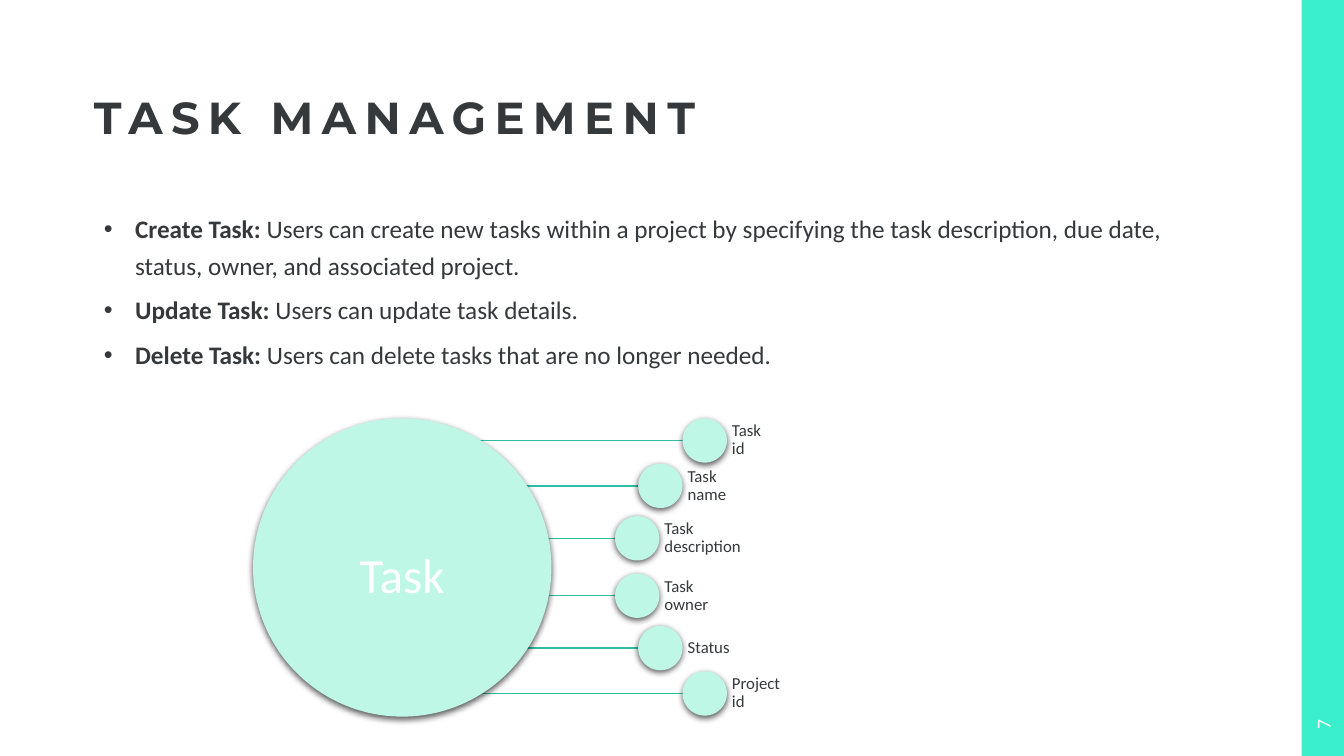
from dataclasses import dataclass

from lxml.etree import SubElement
from pptx import Presentation
from pptx.dml.color import RGBColor
from pptx.enum.shapes import MSO_CONNECTOR, MSO_SHAPE
from pptx.enum.text import MSO_ANCHOR, MSO_AUTO_SIZE, PP_ALIGN
from pptx.oxml.ns import qn
from pptx.util import Emu, Pt

EMU_PER_PX = 9144  # 100 px to the inch


@dataclass(frozen=True)
class Theme:
    ink: str = "36393B"
    white: str = "FFFFFF"
    accent: str = "3AEFCC"
    mint: str = "BFF7E7"
    spoke: str = "2EBFA3"
    heading_font: str = "Montserrat"
    text_font: str = "Calibri"
    title_size: int = 32
    body_size: int = 18
    hub_size: int = 35
    label_size: int = 12
    number_size: int = 14


@dataclass(frozen=True)
class Operation:
    name: str
    detail: str


@dataclass(frozen=True)
class Field:
    label: str
    center_x: int
    center_y: int
    label_width: int


THEME = Theme()
HUB_X, HUB_Y, HUB_SIZE = 399, 563, 296
DOT_SIZE = 44

OPERATIONS = [
    Operation("Create Task: ", "Users can create new tasks within a project by specifying the task "
              "description, due date, status, owner, and associated project."),
    Operation("Update Task:", " Users can update task details."),
    Operation("Delete Task:", " Users can delete tasks that are no longer needed."),
]
FIELDS = [
    Field("Task id", 699, 437, 43),
    Field("Task name", 655, 482, 54),
    Field("Task description", 632, 534, 99),
    Field("Task owner", 632, 591, 62),
    Field("Status", 655, 643, 59),
    Field("Project id", 699, 688, 64),
]


def px(value: int) -> Emu:
    return Emu(value * EMU_PER_PX)


def rgb(color: str) -> RGBColor:
    return RGBColor.from_string(color)


def place(shape, left: int, top: int, width: int, height: int) -> None:
    shape.left, shape.top = px(left), px(top)
    shape.width, shape.height = px(width), px(height)


def set_frame(frame, anchor, insets: tuple[int, int, int, int]) -> None:
    frame.word_wrap = True
    frame.auto_size = MSO_AUTO_SIZE.NONE
    frame.vertical_anchor = anchor
    frame.margin_left, frame.margin_top, frame.margin_right, frame.margin_bottom = map(px, insets)


def write(paragraph, text: str, *, size: int, color: str = THEME.ink, font: str = THEME.text_font,
          bold: bool = False, align=PP_ALIGN.LEFT, line_spacing: float = 0.9,
          space_after: int = 0, tracking: int = 0) -> None:
    paragraph.alignment = align
    paragraph.line_spacing = line_spacing
    paragraph.space_before = Pt(0)
    paragraph.space_after = Pt(space_after)
    run = paragraph.add_run()
    run.text = text
    run.font.name = font
    run.font.size = Pt(size)
    run.font.bold = bold
    run.font.color.rgb = rgb(color)
    if tracking:
        run.font._element.set("spc", str(tracking * 100))


def add_bullet(paragraph, indent: int) -> None:
    properties = paragraph._p.get_or_add_pPr()
    properties.set("marL", str(px(indent)))
    properties.set("indent", str(-px(indent)))
    SubElement(properties, qn("a:buFont"), typeface="Arial")
    SubElement(properties, qn("a:buChar"), char="•")


def add_text_box(slide, left: int, top: int, width: int, height: int,
                 insets: tuple[int, int, int, int]):
    box = slide.shapes.add_textbox(px(left), px(top), px(width), px(height))
    set_frame(box.text_frame, MSO_ANCHOR.MIDDLE, insets)
    return box


def add_disc(slide, center_x: int, center_y: int, size: int):
    disc = slide.shapes.add_shape(MSO_SHAPE.OVAL, px(center_x - size // 2),
                                  px(center_y - size // 2), px(size), px(size))
    disc.fill.solid()
    disc.fill.fore_color.rgb = rgb(THEME.mint)
    disc.line.fill.background()
    effects = SubElement(disc._element.spPr, qn("a:effectLst"))
    shadow = SubElement(effects, qn("a:outerShdw"), blurRad=str(Pt(4.5)), dist=str(Pt(1.5)),
                        dir="5400000", algn="ctr", rotWithShape="0")
    black = SubElement(shadow, qn("a:srgbClr"), val="000000")
    SubElement(black, qn("a:alpha"), val="63000")
    return disc


def add_spoke(slide, field: Field) -> None:
    spoke = slide.shapes.add_connector(MSO_CONNECTOR.STRAIGHT, px(HUB_X), px(field.center_y),
                                       px(field.center_x), px(field.center_y))
    spoke.line.color.rgb = rgb(THEME.spoke)
    spoke.line.width = Pt(1)
    SubElement(spoke._element.spPr, qn("a:effectLst"))


def add_field(slide, field: Field) -> None:
    add_disc(slide, field.center_x, field.center_y, DOT_SIZE)
    label = add_text_box(slide, field.center_x + DOT_SIZE // 2, field.center_y - DOT_SIZE // 2,
                         field.label_width, DOT_SIZE, (5, 0, 5, 0))
    write(label.text_frame.paragraphs[0], field.label, size=THEME.label_size)


def main() -> None:
    deck = Presentation()
    deck.slide_width, deck.slide_height = px(1333), px(750)
    slide = deck.slides.add_slide(deck.slide_layouts[1])

    # Side bar and page number
    side_bar = slide.shapes.add_shape(MSO_SHAPE.RECTANGLE, px(1291), px(0), px(42), px(750))
    side_bar.shadow.inherit = False
    side_bar.fill.solid()
    side_bar.fill.fore_color.rgb = rgb(THEME.accent)
    side_bar.line.fill.background()
    page_number = add_text_box(slide, 1281, 698, 62, 42, (10, 5, 10, 5))
    page_number.rotation = 270
    write(page_number.text_frame.paragraphs[0], "7", size=THEME.number_size, color=THEME.white,
          align=PP_ALIGN.CENTER, line_spacing=1.0)

    # Title
    title = slide.shapes.title
    place(title, 93, 0, 1107, 143)
    set_frame(title.text_frame, MSO_ANCHOR.BOTTOM, (0, 0, 0, 0))
    write(title.text_frame.paragraphs[0], "TASK MANAGEMENT", size=THEME.title_size,
          font=THEME.heading_font, bold=True, tracking=6)

    # Task operations
    operations = slide.placeholders[1]
    place(operations, 93, 201, 1124, 467)
    frame = operations.text_frame
    set_frame(frame, MSO_ANCHOR.TOP, (10, 5, 10, 5))
    for index, operation in enumerate(OPERATIONS):
        paragraph = frame.add_paragraph() if index else frame.paragraphs[0]
        paragraph.level = 1
        add_bullet(paragraph, 31)
        for text, bold in ((operation.name, True), (operation.detail, False)):
            write(paragraph, text, size=THEME.body_size, bold=bold, line_spacing=1.2,
                  space_after=6)

    # Task diagram: spokes lie behind the hub and the field dots
    for field in FIELDS:
        add_spoke(slide, field)
    hub = add_disc(slide, HUB_X, HUB_Y, HUB_SIZE)
    set_frame(hub.text_frame, MSO_ANCHOR.MIDDLE, (0, 20, 0, 0))
    write(hub.text_frame.paragraphs[0], "Task", size=THEME.hub_size, color=THEME.white,
          align=PP_ALIGN.CENTER)
    for field in FIELDS:
        add_field(slide, field)

    deck.save("out.pptx")


if __name__ == "__main__":
    main()
